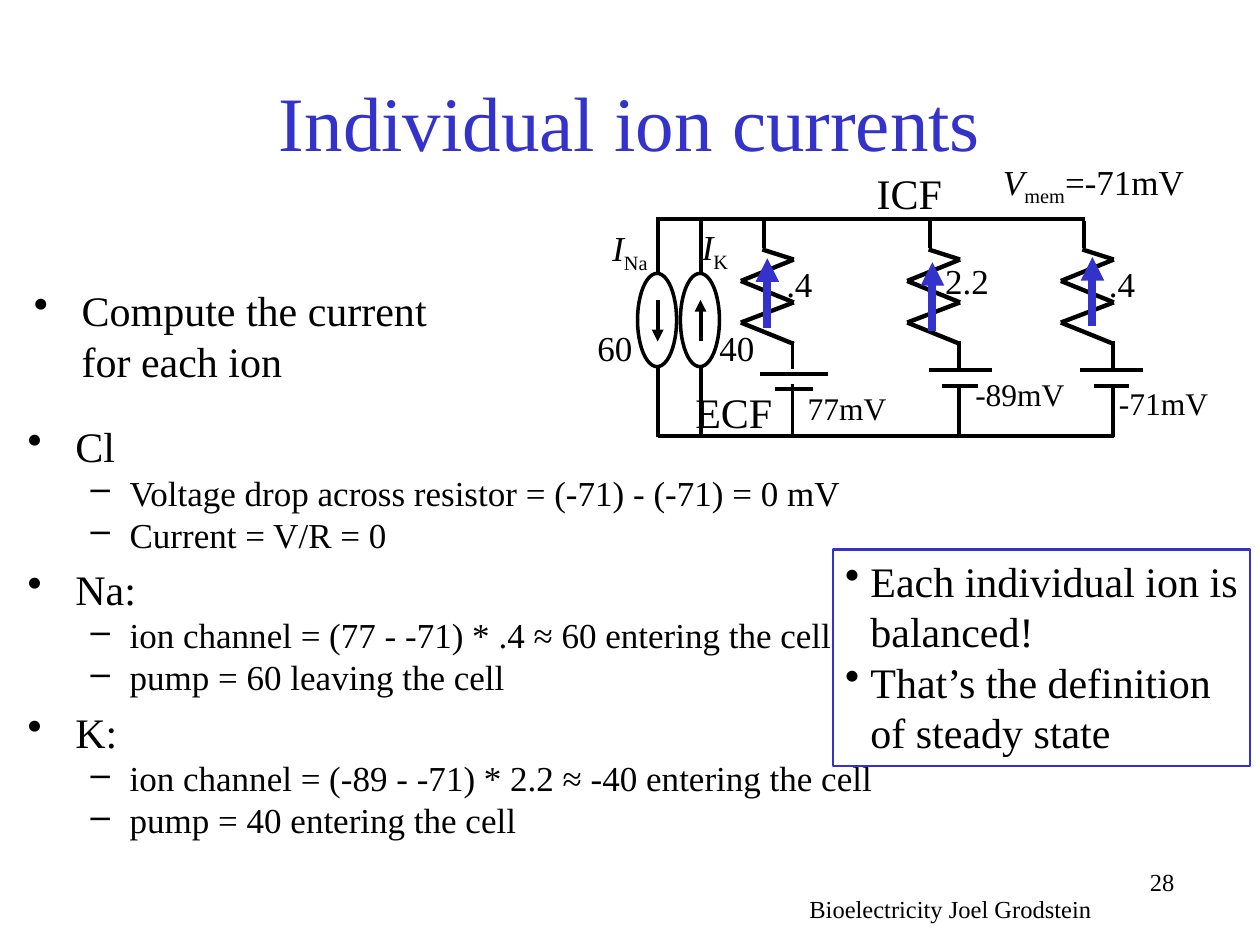
import itertools

import lxml.etree
import pptx
import pptx.dml.color
import pptx.enum.shapes
import pptx.enum.text
import pptx.oxml.ns
import pptx.util

PX = 9144
FONT = "Times New Roman"
COLORS = {"ink": "000000", "accent": "3333CC", "paper": "FFFFFF"}
ALIGN = pptx.enum.text.PP_ALIGN
ANCHOR = pptx.enum.text.MSO_ANCHOR
SHAPE = pptx.enum.shapes.MSO_SHAPE
qn = pptx.oxml.ns.qn


def emu(*lengths):
    return [n * PX for n in lengths]


def rgb(name):
    return pptx.dml.color.RGBColor.from_string(COLORS[name])


def style(font, size, color="ink"):
    font.name = FONT
    font.size = pptx.util.Pt(size)
    font.color.rgb = rgb(color)


def add_text(s, box, text, size, color="ink", align=ALIGN.LEFT, anchor=ANCHOR.TOP):
    sp = s.shapes.add_textbox(*emu(*box))
    tf = sp.text_frame
    tf.word_wrap = True
    tf.vertical_anchor = anchor
    tf.text = text
    p = tf.paragraphs[0]
    p.alignment = align
    style(p.runs[0].font, size, color)


def add_label(s, x, y, w, h, *parts, size=20):
    sp = s.shapes.add_textbox(*emu(x, y, w, h))
    tf = sp.text_frame
    tf.word_wrap = False
    tf.margin_left = tf.margin_top = tf.margin_right = tf.margin_bottom = 0
    for text, kind in parts:
        r = tf.paragraphs[0].add_run()
        r.text = text
        style(r.font, size)
        r.font.italic = kind == "symbol"
        if kind == "sub":
            r.font._element.set("baseline", "-25000")


def add_bullet(p, text, char, size, left, hang, before=0):
    p.text = text
    pPr = p._p.get_or_add_pPr()
    pPr.set("marL", str(left * PX))
    pPr.set("indent", str(-hang * PX))
    p.space_before = pptx.util.Pt(before)
    lxml.etree.SubElement(pPr, qn("a:buChar")).set("char", char)
    style(p.runs[0].font, size)


def add_line(s, x1, y1, x2, y2, width=2.25, color="ink", arrow=False):
    c = s.shapes.add_connector(
        pptx.enum.shapes.MSO_CONNECTOR.STRAIGHT, *emu(x1, y1, x2, y2)
    )
    c.line.width = pptx.util.Pt(width)
    c.line.color.rgb = rgb(color)
    if arrow:
        lxml.etree.SubElement(c.line._get_or_add_ln(), qn("a:tailEnd")).set("type", "triangle")
    lxml.etree.SubElement(c._element.spPr, qn("a:effectLst"))


def add_pump(s, x, y, up):
    mid = x + 16
    add_line(s, mid, y, mid, y + 175)
    sp = s.shapes.add_shape(SHAPE.OVAL, *emu(x, y + 45, 31, 74))
    sp.shadow.inherit = False
    sp.fill.solid()
    sp.fill.fore_color.rgb = rgb("paper")
    sp.line.color.rgb = rgb("ink")
    sp.line.width = pptx.util.Pt(2)
    start, end = (y + 99, y + 66) if up else (y + 66, y + 99)
    add_line(s, mid, start, mid, end, arrow=True)


def add_branch(s, x, y, plate, plate_y, arrow_x, arrow_y):
    add_line(s, x + 18, y, x + 18, y + 22)
    zigzag = [(17, 23), (42, 31), (0, 48), (42, 65), (0, 81), (42, 98)]
    for (x1, y1), (x2, y2) in itertools.pairwise(zigzag):
        add_line(s, x + x1, y + y1, x + x2, y + y2, 2.5)
    add_line(s, x + 41, y + 96, x + 41, y + 118)
    left, width, inset = plate
    add_line(s, x + left, y + plate_y, x + left + width, y + plate_y)
    add_line(s, x + left + inset, y + plate_y + 12, x + left + width - inset, y + plate_y + 12)
    add_line(s, x + 41, y + 130, x + 41, y + 172)
    add_line(s, x + arrow_x, y + arrow_y + 55, x + arrow_x, y + arrow_y, 4.5, "accent", True)


def add_circuit(s, x, y):
    add_pump(s, x + 66, y + 45, True)
    add_pump(s, x + 32, y + 45, False)
    add_line(s, x + 47, y + 47, x + 387, y + 47)
    add_line(s, x + 48, y + 219, x + 410, y + 219)
    branches = [
        (114, (15, 54, 12), 122, 21, 30),
        (246, (17, 50, 11), 119, 20, 33),
        (368, (15, 50, 11), 119, 25, 29),
    ]
    for left, plate, plate_y, arrow_x, arrow_y in branches:
        add_branch(s, x + left, y + 48, plate, plate_y, arrow_x, arrow_y)
    add_text(s, (x + 68, y + 175, 87, 50), "ECF", 24)
    add_text(s, (x + 212, y + 1, 87, 50), "ICF", 24)
    for left, top, width, text in [(167, 182, 63, "77mV"), (300, 171, 72, "-89mV"), (414, 178, 72, "-71mV")]:
        add_label(s, x + left, y + top, width, 30, (text, ""), size=18)
    labels = [
        (12, 53, 31, [("I", "symbol"), ("Na", "sub")]),
        (83, 52, 23, [("I", "symbol"), ("K", "sub")]),
        (150, 81, 21, [(".4", "")]),
        (276, 79, 35, [("2.2", "")]),
        (406, 81, 21, [(".4", "")]),
        (0, 132, 28, [("60", "")]),
        (97, 132, 28, [("40", "")]),
        (322, 0, 150, [("V", "symbol"), ("mem", "sub"), ("=-71mV", "")]),
    ]
    for left, top, width, parts in labels:
        add_label(s, x + left, y + top, width, 34, *parts)


def add_outline(s, x, y, w, h, topics):
    tf = s.shapes.add_textbox(*emu(x, y, w, h)).text_frame
    tf.word_wrap = True
    p = tf.paragraphs[0]
    for i, (topic, details) in enumerate(topics):
        if i:
            p = tf.add_paragraph()
        add_bullet(p, topic, "•", 24, 38, 38, 4.8 if i else 0)
        for detail in details:
            p = tf.add_paragraph()
            p.level = 1
            add_bullet(p, detail, "–", 20, 81, 31)


def add_callout(s, x, y, w, h, points):
    sp = s.shapes.add_shape(SHAPE.RECTANGLE, *emu(x, y, w, h))
    sp.shadow.inherit = False
    sp.fill.background()
    sp.line.color.rgb = rgb("accent")
    sp.line.width = pptx.util.Pt(1.5)
    tf = sp.text_frame
    tf.word_wrap = True
    tf.vertical_anchor = ANCHOR.TOP
    tf.margin_left, tf.margin_top, tf.margin_right, tf.margin_bottom = emu(10, 5, 0, 5)
    for i, point in enumerate(points):
        p = tf.add_paragraph() if i else tf.paragraphs[0]
        p.alignment = ALIGN.LEFT
        add_bullet(p, point, "•", 24, 20, 20)


def main():
    prs = pptx.Presentation()
    prs.slide_width, prs.slide_height = emu(1000, 750)
    s = prs.slides.add_slide(prs.slide_layouts[6])
    add_text(s, (75, 33, 850, 125), "Individual ion currents", 44, "accent", ALIGN.CENTER, ANCHOR.MIDDLE)
    add_outline(s, 17, 221, 334, 82, [("Compute the current for each ion", [])])
    add_outline(s, 12, 329, 695, 400, [
        ("Cl", ["Voltage drop across resistor = (-71) - (-71) = 0 mV", "Current = V/R = 0"]),
        ("Na:", ["ion channel = (77 - -71) * .4 ≈ 60 entering the cell", "pump = 60 leaving the cell"]),
        ("K:", ["ion channel = (-89 - -71) * 2.2 ≈ -40 entering the cell", "pump = 40 entering the cell"]),
    ])
    add_circuit(s, 474, 127)
    add_callout(s, 661, 436, 331, 172, [
        "Each individual ion is balanced!", "That’s the definition of steady state",
    ])
    add_text(s, (625, 683, 317, 50), "28", 14, align=ALIGN.RIGHT)
    add_text(s, (596, 705, 317, 34), "Bioelectricity Joel Grodstein", 14, align=ALIGN.CENTER)
    prs.save("out.pptx")


if __name__ == "__main__":
    main()
